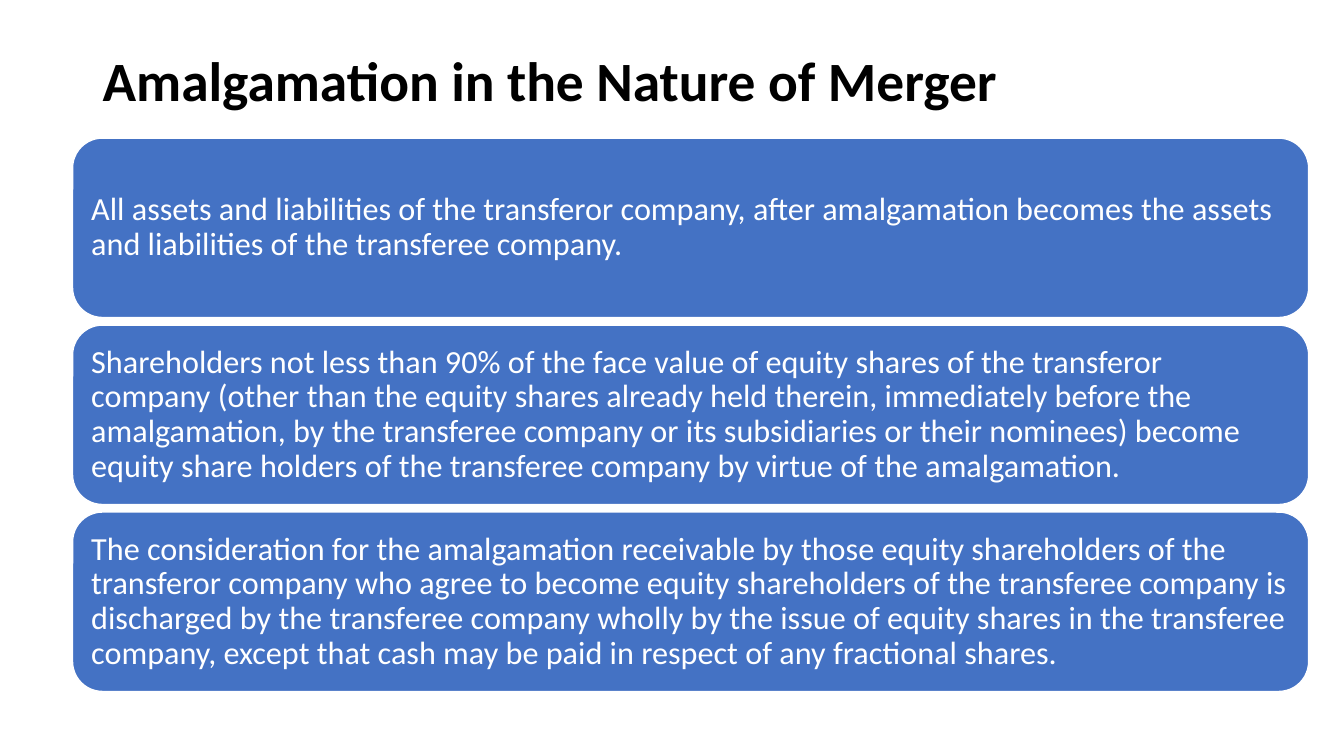
from pptx import Presentation
from pptx.dml.color import RGBColor
from pptx.enum.shapes import MSO_SHAPE
from pptx.enum.text import MSO_ANCHOR, PP_ALIGN
from pptx.util import Inches, Pt

TITLE = "Amalgamation in the Nature of Merger"
CONDITIONS = [
    "All assets and liabilities of the transferor company, after amalgamation "
    "becomes the assets and liabilities of the transferee company.",
    "Shareholders not less than 90% of the face value of equity shares of the "
    "transferor company (other than the equity shares already held therein, "
    "immediately before the amalgamation, by the transferee company or its "
    "subsidiaries or their nominees) become equity share holders of the "
    "transferee company by virtue of the amalgamation.",
    "The consideration for the amalgamation receivable by those equity "
    "shareholders of the transferor company who agree to become equity "
    "shareholders of the transferee company is discharged by the transferee "
    "company wholly by the issue of equity shares in the transferee company, "
    "except that cash may be paid in respect of any fractional shares.",
]

FONT = "Calibri"
BLACK = RGBColor(0x00, 0x00, 0x00)
WHITE = RGBColor(0xFF, 0xFF, 0xFF)
BLUE = RGBColor(0x44, 0x72, 0xC4)

CARD_LEFT, CARD_WIDTH, CARD_HEIGHT = 0.72, 12.26, 1.78
FIRST_TOP, LAST_TOP = 1.37, 5.08
CARD_PITCH = (LAST_TOP - FIRST_TOP) / (len(CONDITIONS) - 1)


def write_text(shape, text, size, color, bold=False):
    frame = shape.text_frame
    frame.word_wrap = True
    frame.vertical_anchor = MSO_ANCHOR.MIDDLE
    paragraph = frame.paragraphs[0]
    paragraph.alignment = PP_ALIGN.LEFT
    paragraph.line_spacing = 0.9
    run = paragraph.add_run()
    run.text = text
    run.font.name = FONT
    run.font.size = Pt(size)
    run.font.bold = bold
    run.font.color.rgb = color


def add_card(slide, top, text):
    card = slide.shapes.add_shape(
        MSO_SHAPE.ROUNDED_RECTANGLE, Inches(CARD_LEFT), Inches(top),
        Inches(CARD_WIDTH), Inches(CARD_HEIGHT))
    card.shadow.inherit = False
    card.fill.solid()
    card.fill.fore_color.rgb = BLUE
    card.line.color.rgb = WHITE
    card.line.width = Pt(1)
    frame = card.text_frame
    frame.margin_left = frame.margin_right = Inches(0.1)
    frame.margin_top = frame.margin_bottom = Inches(0.1)
    write_text(card, text, 23, WHITE)


def main():
    presentation = Presentation()
    presentation.slide_width = Inches(13.33)
    presentation.slide_height = Inches(7.5)
    slide = presentation.slides.add_slide(presentation.slide_layouts[6])

    title = slide.shapes.add_textbox(
        Inches(0.92), Inches(0.4), Inches(11.5), Inches(0.85))
    write_text(title, TITLE, 39.6, BLACK, bold=True)

    for index, condition in enumerate(CONDITIONS):
        add_card(slide, FIRST_TOP + index * CARD_PITCH, condition)

    presentation.save("out.pptx")


if __name__ == "__main__":
    main()
